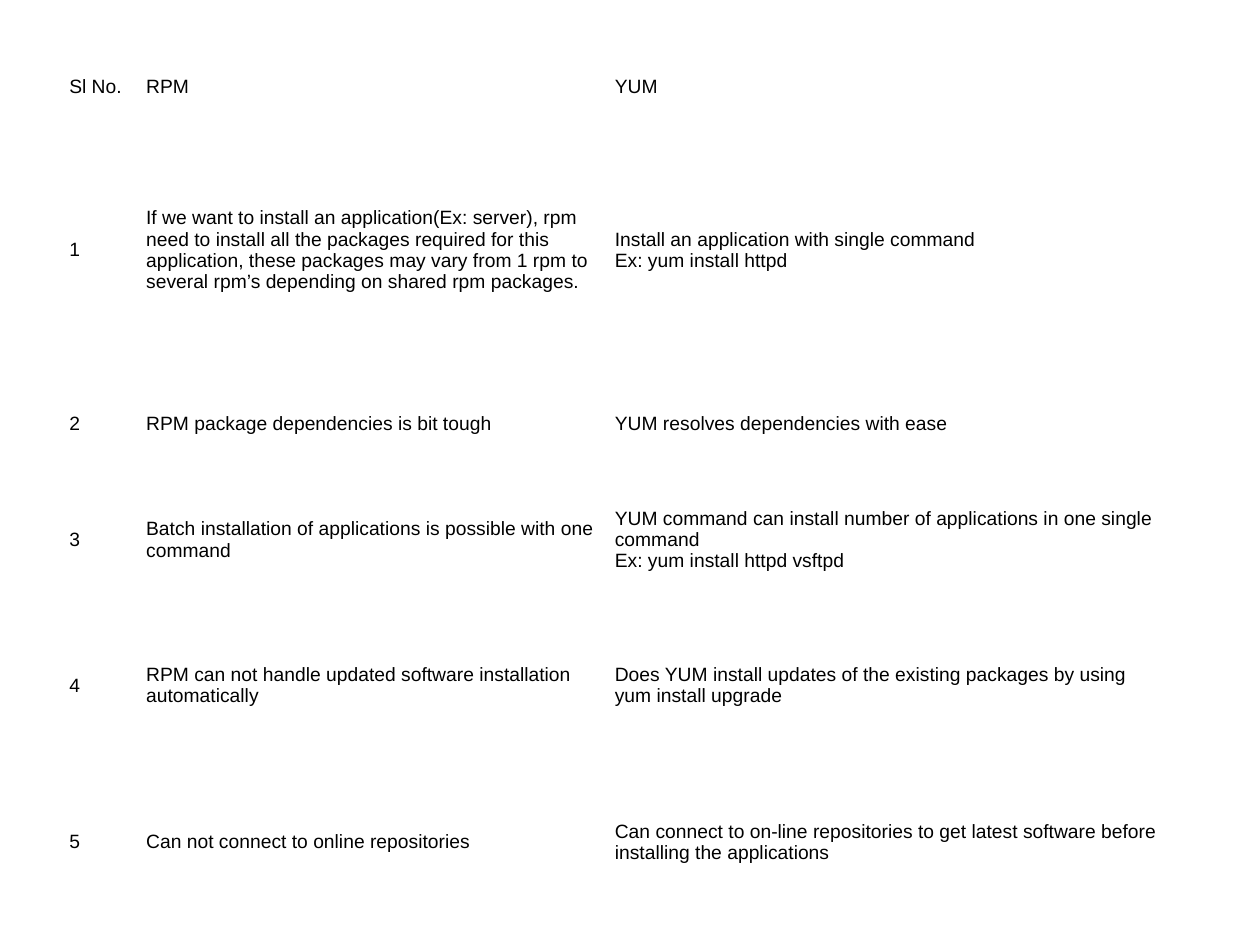
from pptx import Presentation
from pptx.dml.color import RGBColor
from pptx.enum.text import MSO_ANCHOR
from pptx.util import Inches, Pt

MIDDLE = MSO_ANCHOR.MIDDLE
BLANK_LAYOUT = 6

THEME = {
    "fill": RGBColor(0xFF, 0xFF, 0xFF),
    "text": RGBColor(0x00, 0x00, 0x00),
    "font": {"name": "Arial", "size": Pt(11), "bold": False},
    "cell": {
        "vertical_anchor": MIDDLE,
        "margin_left": Inches(0.05),
        "margin_right": Inches(0.05),
        "margin_top": Inches(0.02),
        "margin_bottom": Inches(0.02),
    },
}

HEADINGS = ("Sl No.", "RPM", "YUM")
COMPARISONS = [
    ("If we want to install an application(Ex: server), rpm need to install "
     "all the packages required for this application, these packages may vary "
     "from 1 rpm to several rpm’s depending on shared rpm packages.",
     "Install an application with single command\nEx: yum install httpd"),
    ("RPM package dependencies is bit tough",
     "YUM resolves dependencies with ease"),
    ("Batch installation of applications is possible with one command",
     "YUM command can install number of applications in one single command\n"
     "Ex: yum install httpd vsftpd"),
    ("RPM can not handle updated software installation automatically",
     "Does YUM install updates of the existing packages by using\n"
     "yum install upgrade"),
    ("Can not connect to online repositories",
     "Can connect to on-line repositories to get latest software before "
     "installing the applications"),
]

TABLE_LEFT, TABLE_TOP = 0.5, 0.42
COLUMN_WIDTHS = (0.61, 3.72, 4.58)
ROW_HEIGHTS = (0.54, 2.05, 0.71, 1.13, 1.18, 1.31)


def set_values(target, values):
    for name, value in values.items():
        setattr(target, name, value)


def fill_cell(cell, text):
    cell.text = text
    set_values(cell, THEME["cell"])
    cell.fill.solid()
    cell.fill.fore_color.rgb = THEME["fill"]
    for para in cell.text_frame.paragraphs:
        for span in para.runs:
            set_values(span.font, THEME["font"])
            span.font.color.rgb = THEME["text"]


def add_comparison_table(page):
    rows = [HEADINGS]
    rows += [(str(number), *pair) for number, pair in enumerate(COMPARISONS, 1)]
    table = page.shapes.add_table(
        len(rows), len(HEADINGS), Inches(TABLE_LEFT), Inches(TABLE_TOP),
        Inches(sum(COLUMN_WIDTHS)), Inches(sum(ROW_HEIGHTS))).table
    set_values(table, {"first_row": False, "horz_banding": False})
    for column, width in zip(table.columns, COLUMN_WIDTHS):
        column.width = Inches(width)
    for row, height, texts in zip(table.rows, ROW_HEIGHTS, rows):
        row.height = Inches(height)
        for cell, text in zip(row.cells, texts):
            fill_cell(cell, text)


def main():
    deck = Presentation()
    deck.slide_width, deck.slide_height = Inches(10), Inches(7.5)
    page = deck.slides.add_slide(deck.slide_layouts[BLANK_LAYOUT])
    add_comparison_table(page)
    deck.save("out.pptx")


if __name__ == "__main__":
    main()
